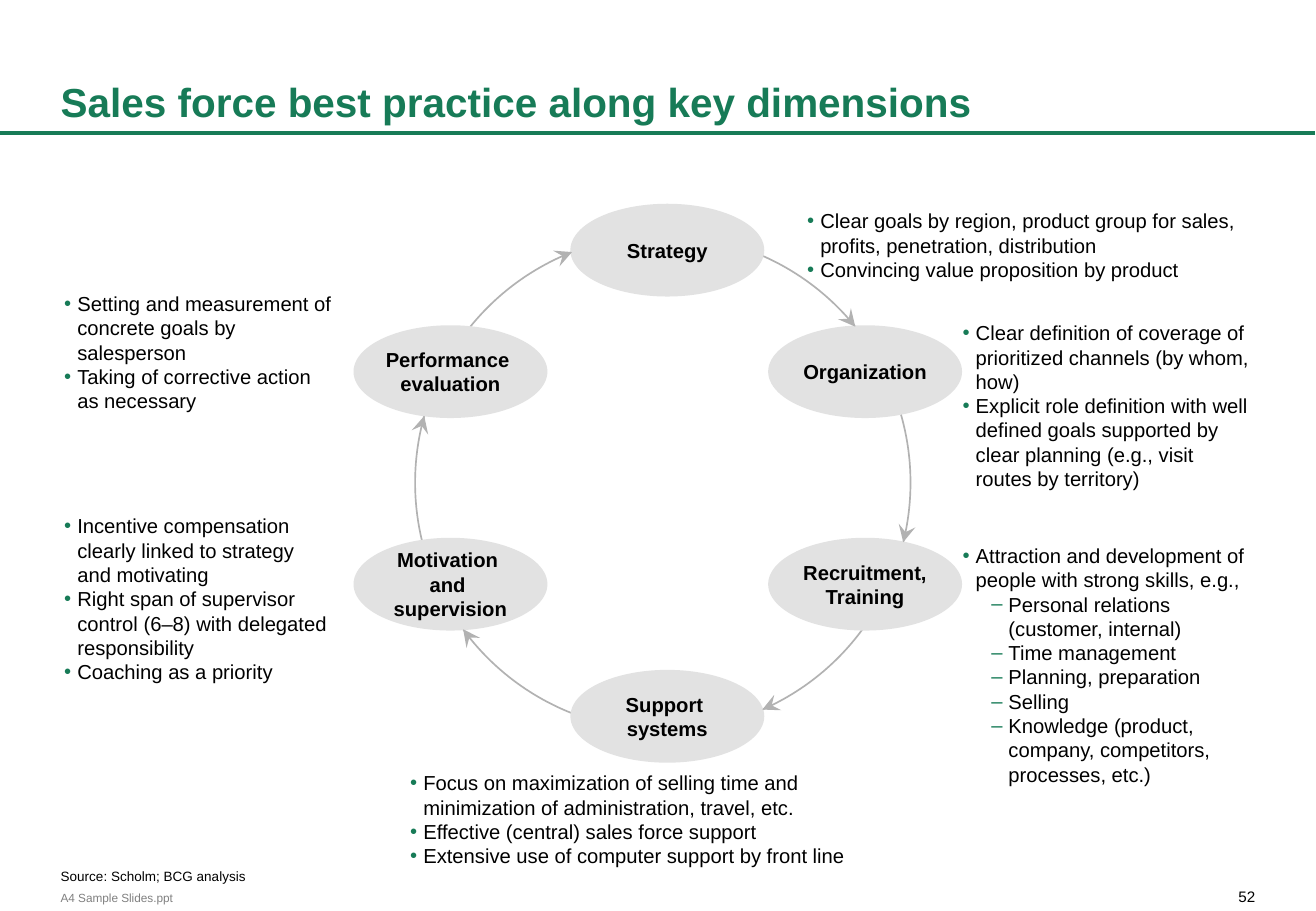
from math import cos, radians, sin

from lxml import etree
from pptx import Presentation
from pptx import util as u
from pptx.dml.color import RGBColor
from pptx.enum import shapes, text
from pptx.oxml.ns import qn

GREEN, GREY, PALE, BLACK = "177B57", "B2B2B2", "E2E2E2", "000000"
LEFT, CENTER, RIGHT = text.PP_ALIGN.LEFT, text.PP_ALIGN.CENTER, text.PP_ALIGN.RIGHT
TOP, MIDDLE, BOTTOM = text.MSO_ANCHOR.TOP, text.MSO_ANCHOR.MIDDLE, text.MSO_ANCHOR.BOTTOM


def color(value):
    return RGBColor.from_string(value)


def write(box, lines, size=12, ink=BLACK, bold=False, align=LEFT, anchor=TOP,
          margins=(7.2, 3.6), wrap=True, grow=False, bullets=False):
    """Fill a box with paragraphs; in a bullet list, "– " opens a second-level line."""
    frame = box.text_frame
    frame.word_wrap = wrap
    frame.vertical_anchor = anchor
    frame.margin_left = frame.margin_right = u.Pt(margins[0])
    frame.margin_top = frame.margin_bottom = u.Pt(margins[1])
    if grow:
        frame.auto_size = text.MSO_AUTO_SIZE.SHAPE_TO_FIT_TEXT
    frame.text = "\n".join(line.removeprefix("– ") for line in lines)
    for line, para in zip(lines, frame.paragraphs):
        para.alignment = align
        if bullets:
            nested = line.startswith("– ")
            para.level = int(nested)
            indent, hanging = (27.2, 10.1) if nested else (7.8, 7.8)
            props = para._p.get_or_add_pPr()
            props.set("marL", str(u.Pt(indent)))
            props.set("indent", str(-u.Pt(hanging)))
            bullet_color = etree.SubElement(props, qn("a:buClr"))
            etree.SubElement(bullet_color, qn("a:srgbClr"), val=GREEN)
            etree.SubElement(props, qn("a:buSzPct"), val="100000")
            etree.SubElement(props, qn("a:buFont"), typeface="Arial")
            etree.SubElement(props, qn("a:buChar"), char="–" if nested else "•")
        para.font.size = u.Pt(size)
        for span in para.runs:
            span.font.name = "Arial"
            span.font.size = u.Pt(size)
            span.font.bold = bold
            span.font.color.rgb = color(ink)


deck = Presentation()
deck.slide_width = u.Pt(780.48)
deck.slide_height = u.Pt(540)
page = deck.slides.add_slide(deck.slide_layouts[6])

# Title, source and footer
labels = [
    ((36, 12.6, 708, 65.5), "Sales force best practice along key dimensions",
     dict(size=24, ink=GREEN, bold=True, anchor=BOTTOM, margins=(0, 3.6))),
    ((36, 498.2, 708.5, 26), "Source: Scholm; BCG analysis",
     dict(size=8, anchor=BOTTOM, margins=(0, 0))),
    ((36, 527.8, 67, 8.6), "A4 Sample Slides.ppt",
     dict(size=7, ink="808080", anchor=MIDDLE, margins=(0, 0), wrap=False, grow=True)),
    ((729.3, 526, 15.2, 10.8), "52",
     dict(size=9, align=RIGHT, margins=(0, 0), wrap=False)),
]
for place, words, style in labels:
    write(page.shapes.add_textbox(*map(u.Pt, place)), [words], **style)

title_rule = page.shapes.add_connector(
    shapes.MSO_CONNECTOR.STRAIGHT, u.Pt(780), u.Pt(78.9), 0, u.Pt(78.9))
title_rule.line.color.rgb = color(GREEN)
title_rule.line.width = u.Pt(2.25)
etree.SubElement(title_rule._element.spPr, qn("a:effectLst"))

# Ring of the cycle
RING_X, RING_Y, RADIUS = 393.1, 286.1, 146.9
ring = page.shapes.add_shape(
    shapes.MSO_SHAPE.OVAL, u.Pt(RING_X - RADIUS), u.Pt(RING_Y - RADIUS),
    u.Pt(2 * RADIUS), u.Pt(2 * RADIUS))
ring.shadow.inherit = False
ring.fill.background()
ring.line.color.rgb = color(GREY)
ring.line.width = u.Pt(1)

# Stages around the ring
stages = [
    (210.2, 193.3, ["Performance ", "evaluation"]),
    (456.1, 193.3, ["Organization"]),
    (338.8, 121.3, ["Strategy"]),
    (338.8, 397.6, ["Support ", "systems"]),
    (210.2, 319.3, ["Motivation ", "and ", "supervision"]),
    (456.1, 319.3, ["Recruitment,", "Training"]),
]
for left, top, lines in stages:
    stage = page.shapes.add_shape(
        shapes.MSO_SHAPE.OVAL, u.Pt(left), u.Pt(top), u.Pt(114), u.Pt(54))
    stage.shadow.inherit = False
    stage.fill.solid()
    stage.fill.fore_color.rgb = color(PALE)
    stage.line.color.rgb = color(PALE)
    stage.line.width = u.Pt(1)
    write(stage, lines, bold=True, align=CENTER, anchor=MIDDLE, wrap=False)

# Clockwise arrowheads, given by the angle of the tip on the ring
for angle in (-39, 13.9, 66.3, 143.7, 195.6, 248.5):
    ends = []
    for turn in (radians(angle - 1.7), radians(angle)):
        ends += [u.Pt(RING_X + RADIUS * cos(turn)), u.Pt(RING_Y + RADIUS * sin(turn))]
    arrow = page.shapes.add_connector(shapes.MSO_CONNECTOR.STRAIGHT, *ends)
    arrow.line.color.rgb = color(GREY)
    arrow.line.width = u.Pt(0)
    etree.SubElement(arrow.line._get_or_add_ln(), qn("a:tailEnd"),
                     type="stealth", w="lg", len="lg")
    etree.SubElement(arrow._element.spPr, qn("a:effectLst"))

# Best practices beside each stage
practices = [
    ((471.6, 120.2, 272.9, 50.4), [
        "Clear goals by region, product group for sales, profits, penetration, distribution",
        "Convincing value proposition by product"]),
    ((563.8, 186.5, 186.5, 108), [
        "Clear definition of coverage of prioritized channels (by whom, how)",
        "Explicit role definition with well defined goals supported by clear planning "
        "(e.g., visit routes by territory)"]),
    ((563.8, 318.5, 186.5, 151.2), [
        "Attraction and development of people with strong skills, e.g.,",
        "– Personal relations (customer, internal)",
        "– Time management",
        "– Planning, preparation",
        "– Selling",
        "– Knowledge (product, company, competitors, processes, etc.)"]),
    ((31, 169.2, 175.7, 79.2), [
        "Setting and measurement of concrete goals by salesperson",
        "Taking of corrective action as necessary"]),
    ((31, 301, 172.8, 108), [
        "Incentive compensation clearly linked to strategy and motivating",
        "Right span of supervisor control (6–8) with delegated responsibility",
        "Coaching as a priority"]),
    ((236.2, 453.2, 307.4, 64.8), [
        "Focus on maximization of selling time and minimization of administration, travel, etc.",
        "Effective (central) sales force support",
        "Extensive use of computer support by front line"]),
]
for place, lines in practices:
    write(page.shapes.add_textbox(*map(u.Pt, place)), lines, grow=True, bullets=True)

deck.save("out.pptx")
